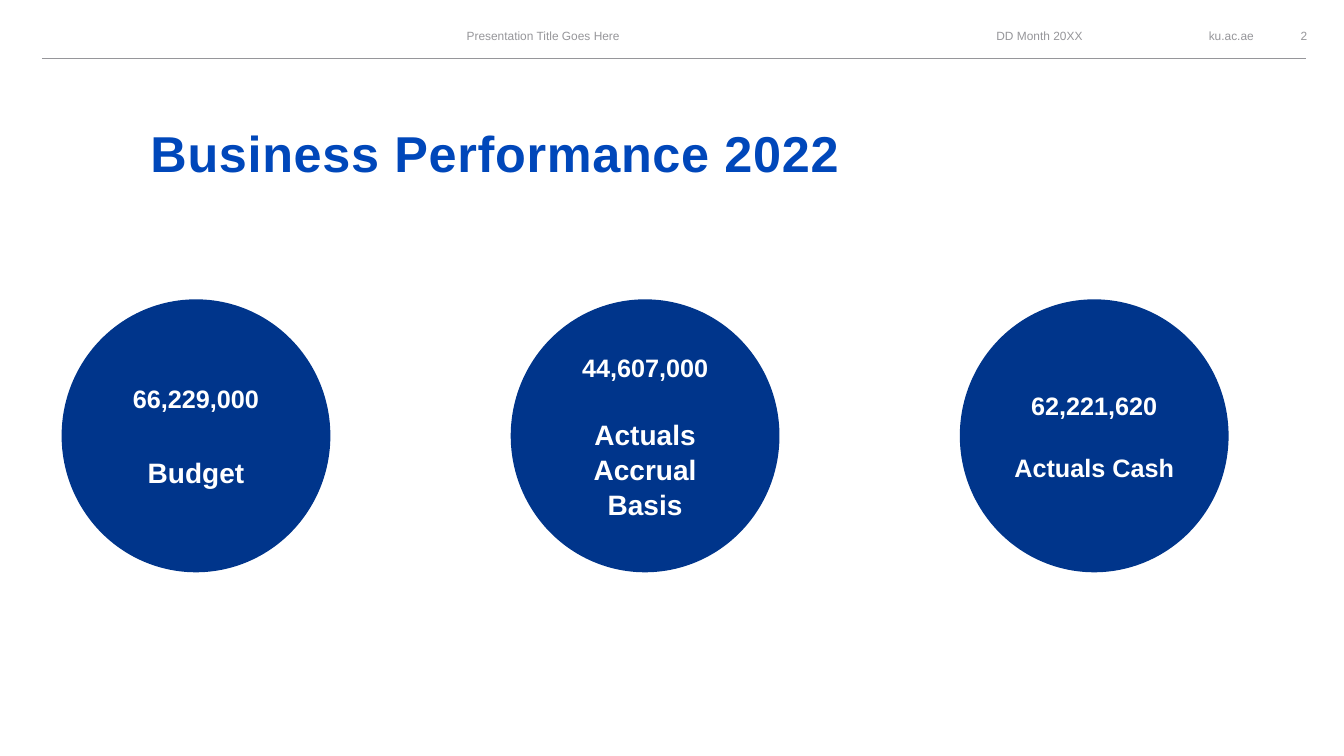
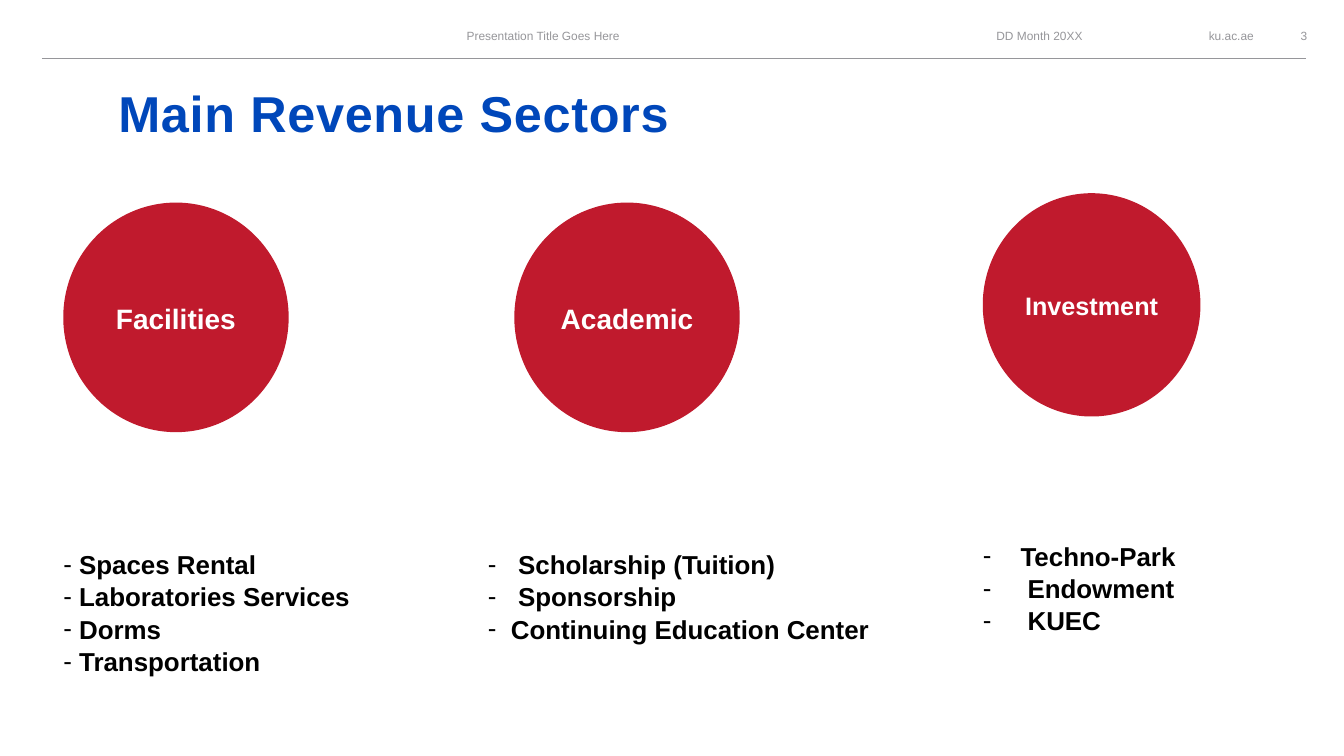
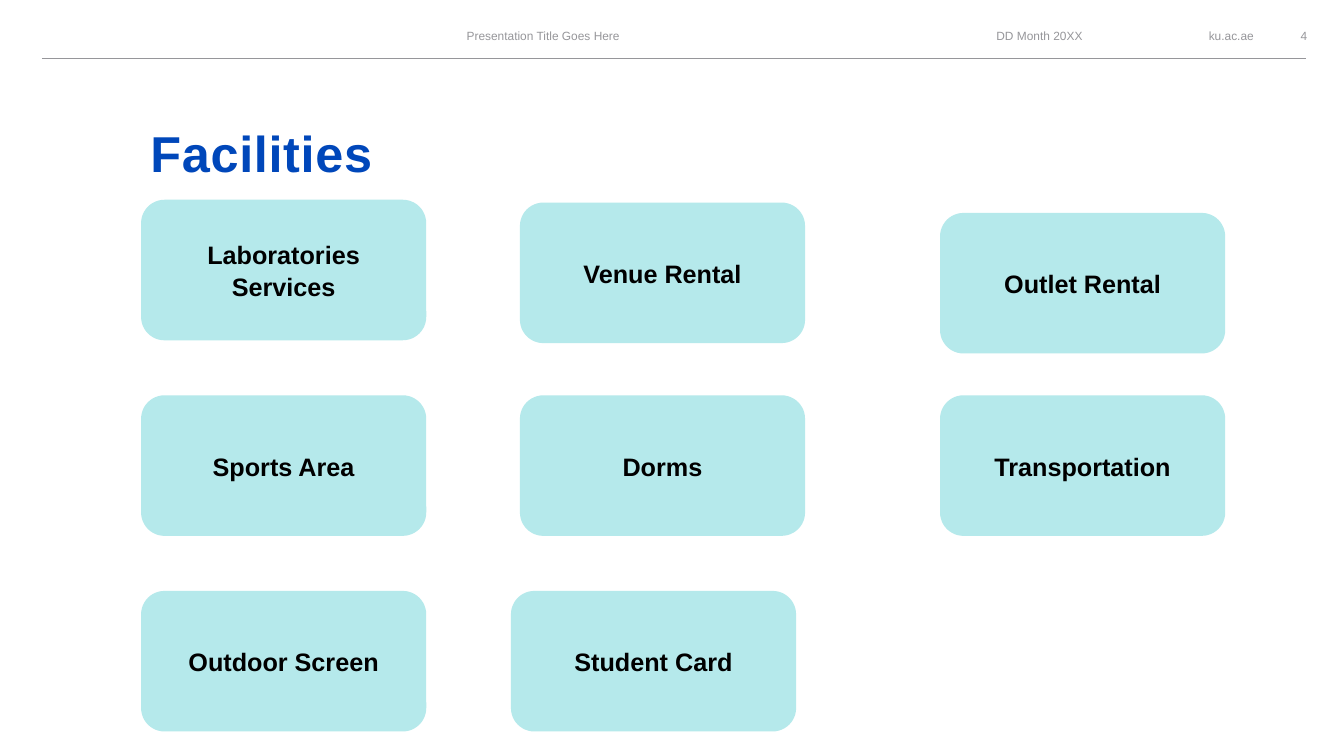
from dataclasses import dataclass

from lxml import etree
from pptx import Presentation
from pptx.dml.color import RGBColor
from pptx.enum.shapes import MSO_CONNECTOR, MSO_SHAPE
from pptx.enum.text import MSO_ANCHOR, MSO_AUTO_SIZE, PP_ALIGN
from pptx.oxml.ns import qn
from pptx.util import Pt

LEFT, CENTER, RIGHT = PP_ALIGN.LEFT, PP_ALIGN.CENTER, PP_ALIGN.RIGHT
TOP, MIDDLE, BOTTOM = MSO_ANCHOR.TOP, MSO_ANCHOR.MIDDLE, MSO_ANCHOR.BOTTOM
OVAL, ROUNDED = MSO_SHAPE.OVAL, MSO_SHAPE.ROUNDED_RECTANGLE


@dataclass(frozen=True)
class Theme:
    font: str = "Arial"
    title_blue: str = "0047BA"
    navy: str = "00358B"
    red: str = "C01A2D"
    aqua: str = "B5E9EB"
    grey: str = "96969A"
    white: str = "FFFFFF"
    black: str = "000000"
    title: float = 36
    large: float = 20
    listing: float = 18.5
    medium: float = 18
    header: float = 8.5
    leading: float = 1.04


THEME = Theme()
TITLE_ONLY, COMPARISON = 5, 4
FIRST_NUMBER = 2

SITE = ("ku.ac.ae", (820, 16, 75.6, 19.5), RIGHT)
DATE = ("DD Month 20XX", (636.5, 16, 136.8, 19.5), RIGHT)
DECK_TITLE = ("Presentation Title Goes Here", (226, 16, 324, 19.5), CENTER)
NUMBER_BOX = (911, 16, 41, 19.5)
RULE = (30, 41.8, 933, 41.8)
TITLE_SIZE = (787, 88)

RESULTS = [
    ("66,229,000", "Budget", THEME.large, 29),
    ("44,607,000", "Actuals Accrual Basis", THEME.large, 24),
    ("62,221,620", "Actuals Cash", THEME.medium, 22),
]
RESULT_LEFT, RESULT_PITCH = 44, 320.8

SECTORS = [
    ("Facilities", THEME.large, (45.2, 144.7, 161, 164), (45.2, 391, 240.5, 112),
     [("Spaces Rental", 11.3), ("Laboratories Services", 11.3),
      ("Dorms", 11.3), ("Transportation", 11.3)]),
    ("Academic", THEME.large, (367.4, 144.7, 161, 164), (348.5, 391, 294.5, 112),
     [("Scholarship (Tuition)", 21.6), ("Sponsorship", 21.6),
      ("Continuing Education Center", 16.4)]),
    ("Investment", THEME.medium, (702, 138, 155.5, 159.5), (702, 385, 169, 112),
     [("Techno-Park", 27), ("Endowment", 32), ("KUEC", 32)]),
]

FACILITIES = [
    [("Laboratories Services", 0, 0), ("Venue Rental", 0, 2), ("Outlet Rental", 0, 9.4)],
    [("Sports Area", 0, 0), ("Dorms", 0, 0), ("Transportation", 0, 0)],
    [("Outdoor Screen", 0, 0), ("Student Card", -6.4, 0)],
]
FACILITY_LEFTS = [100.8, 371.4, 671.5]
FACILITY_TOP, FACILITY_PITCH = 142.7, 139.7
FACILITY_SIZE = (203.7, 100.4)


def points(values):
    return [Pt(value) for value in values]


def add_dash(paragraph, indent):
    props = paragraph._p.get_or_add_pPr()
    props.set("marL", str(Pt(indent)))
    props.set("indent", str(-Pt(indent)))
    etree.SubElement(props, qn("a:buFont")).set("typeface", THEME.font)
    etree.SubElement(props, qn("a:buChar")).set("char", "-")


def write(shape, lines, size, color, bold=True, align=LEFT, anchor=MIDDLE,
          inset=0, leading=1, spacing=0, sizes=(), gaps=(), indents=()):
    frame = shape.text_frame
    frame.word_wrap = True
    frame.auto_size = MSO_AUTO_SIZE.NONE
    frame.vertical_anchor = anchor
    frame.margin_left = frame.margin_right = Pt(inset)
    frame.margin_top = frame.margin_bottom = Pt(inset / 2)
    for index, line in enumerate(lines):
        paragraph = frame.add_paragraph() if index else frame.paragraphs[0]
        if indents:
            add_dash(paragraph, indents[index])
        paragraph.alignment = align
        paragraph.line_spacing = leading
        paragraph.space_before = Pt(gaps[index] if gaps else 0)
        run = paragraph.add_run()
        run.text = line
        font = run.font
        font.name = THEME.font
        font.size = Pt(sizes[index] if sizes else size)
        font.bold = bold
        font.color.rgb = RGBColor.from_string(color)
        if spacing:
            run._r.get_or_add_rPr().set("spc", str(int(spacing * 100)))


def place(shape, box):
    shape.left, shape.top, shape.width, shape.height = points(box)


def add_header_text(slide, text, box, align):
    label = slide.shapes.add_textbox(*points(box))
    write(label, [text], THEME.header, THEME.grey, bold=False, align=align)
    return label


def add_panel(slide, kind, box, fill, lines, size, color, **options):
    panel = slide.shapes.add_shape(kind, *points(box))
    panel.shadow.inherit = False
    panel.fill.solid()
    panel.fill.fore_color.rgb = RGBColor.from_string(fill)
    panel.line.fill.background()
    write(panel, lines, size, color, align=CENTER, inset=7.2,
          leading=THEME.leading, **options)


def add_master_header(prs, slide):
    rule = slide.shapes.add_connector(MSO_CONNECTOR.STRAIGHT, *points(RULE))
    rule.line.color.rgb = RGBColor.from_string(THEME.grey)
    rule.line.width = Pt(0.75)
    etree.SubElement(rule.element.spPr, qn("a:effectLst"))
    site = add_header_text(slide, *SITE)
    for shape_id, shape in enumerate((site, rule), start=101):
        shape.element.xpath(".//p:cNvPr")[0].set("id", str(shape_id))
        prs.slide_master.shapes.element.append(shape.element)


def add_slide(prs, title, left, top, layout=TITLE_ONLY):
    slide = prs.slides.add_slide(prs.slide_layouts[layout])
    heading = slide.shapes.title
    place(heading, (left, top, *TITLE_SIZE))
    write(heading, [title], THEME.title, THEME.title_blue, anchor=BOTTOM, spacing=0.5)
    add_header_text(slide, *DATE)
    add_header_text(slide, *DECK_TITLE)
    number = FIRST_NUMBER + len(prs.slides) - 1
    add_header_text(slide, str(number), NUMBER_BOX, CENTER)
    return slide


def build_performance(prs):
    slide = add_slide(prs, "Business Performance 2022", 107.5, 42.5)
    add_master_header(prs, slide)
    for column, (amount, label, label_size, gap) in enumerate(RESULTS):
        box = (RESULT_LEFT + column * RESULT_PITCH, 213.8, 192, 195)
        add_panel(slide, OVAL, box, THEME.navy, [amount, label], THEME.medium,
                  THEME.white, sizes=(THEME.medium, label_size), gaps=(0, gap))


def build_sectors(prs):
    slide = add_slide(prs, "Main Revenue Sectors", 84.5, 13.7, COMPARISON)
    bodies = [body for body in slide.placeholders if body.placeholder_format.idx in range(1, 5)]
    for body, (sector, size, circle, list_box, items) in zip(bodies, SECTORS):
        add_panel(slide, OVAL, circle, THEME.red, [sector], size, THEME.white)
        place(body, list_box)
        names, indents = zip(*items)
        write(body, names, THEME.listing, THEME.black, anchor=TOP,
              leading=THEME.leading, indents=indents)
    for unused in bodies[len(SECTORS):]:
        unused.element.getparent().remove(unused.element)


def build_facilities(prs):
    slide = add_slide(prs, "Facilities", 107.5, 42.5)
    for row, facilities in enumerate(FACILITIES):
        for left, (facility, shift_x, shift_y) in zip(FACILITY_LEFTS, facilities):
            top = FACILITY_TOP + row * FACILITY_PITCH + shift_y
            add_panel(slide, ROUNDED, (left + shift_x, top, *FACILITY_SIZE),
                      THEME.aqua, [facility], THEME.medium, THEME.black)


def main():
    prs = Presentation()
    prs.slide_width, prs.slide_height = Pt(960), Pt(540)
    build_performance(prs)
    build_sectors(prs)
    build_facilities(prs)
    prs.save("out.pptx")


if __name__ == "__main__":
    main()
